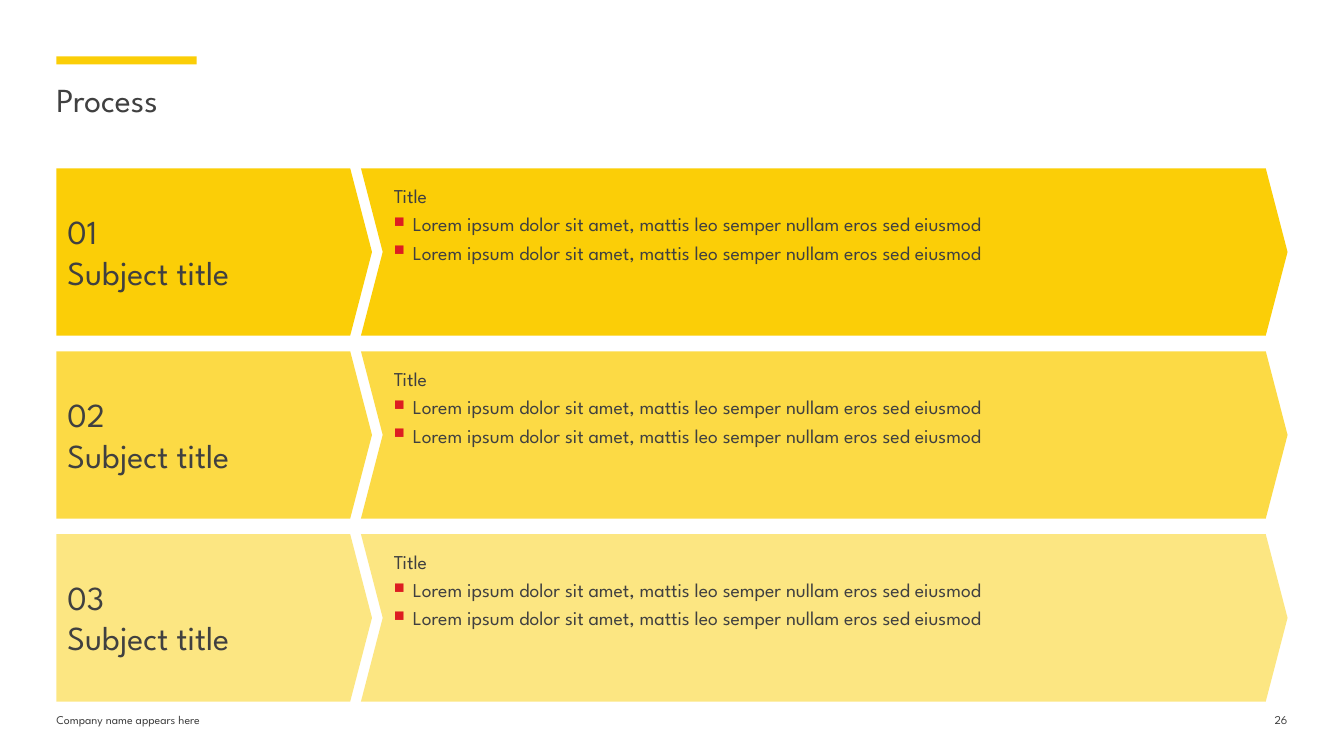
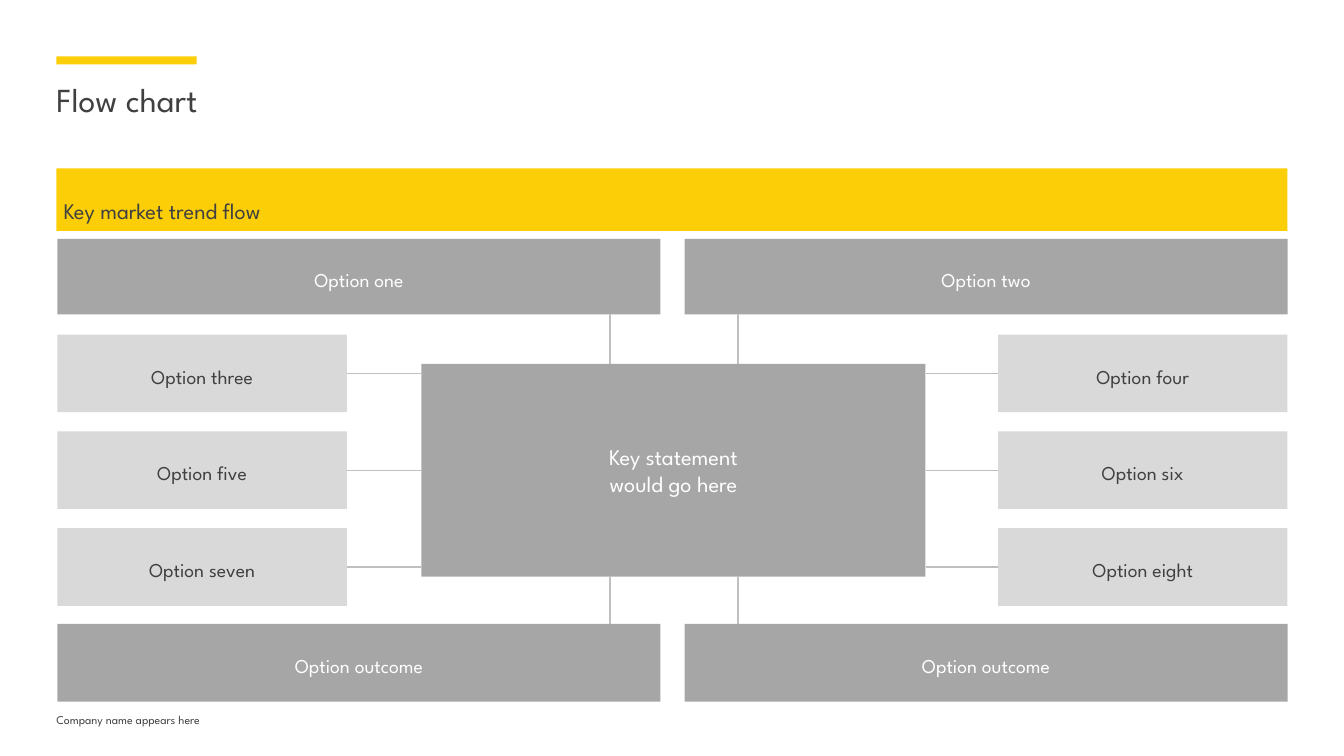
from lxml import etree
from pptx import Presentation
from pptx.dml.color import RGBColor
from pptx.enum.shapes import MSO_CONNECTOR, MSO_SHAPE as SHAPE
from pptx.enum.text import MSO_ANCHOR as ANCHOR, PP_ALIGN as ALIGN
from pptx.oxml.ns import qn
from pptx.util import Inches, Pt

COLORS = {
    "yellow": "FBCE07", "red": "DD1D21", "ink": "404040", "white": "FFFFFF",
    "mid_grey": "A6A6A6", "light_grey": "D9D9D9", "line": "BFBFBF",
}
FONT = "League Spartan"
LEFT, WIDTH = 0.56, 12.21
BODY_TOP, BODY_HEIGHT = 1.67, 5.29
BODY = (LEFT, BODY_TOP, WIDTH, BODY_HEIGHT)
FOOTER_TOP, FOOTER_HEIGHT = 7.07, 0.26
LOREM = "Lorem ipsum dolor sit amet, mattis leo semper nullam eros sed eiusmod"


def rgb(name):
    return RGBColor.from_string(COLORS[name])


def set_frame(shape, insets, anchor=ANCHOR.TOP, wrap=True):
    frame = shape.text_frame
    frame.word_wrap = wrap
    frame.vertical_anchor = anchor
    (frame.margin_left, frame.margin_top,
     frame.margin_right, frame.margin_bottom) = map(Inches, insets)
    return frame


def write(paragraph, text, size, color="ink", align=ALIGN.LEFT, spacing=None):
    """Fill a paragraph; a newline in the text becomes a line break."""
    paragraph.alignment = align
    if spacing:
        paragraph.line_spacing = spacing
    for index, line in enumerate(text.split("\n")):
        if index:
            paragraph.add_line_break()
        run = paragraph.add_run()
        run.text = line
        run.font.name = FONT
        run.font.size = Pt(size)
        run.font.color.rgb = rgb(color)


def add_bullet(paragraph):
    props = paragraph._p.get_or_add_pPr()
    props.set("marL", str(Inches(0.19)))
    props.set("indent", str(Inches(-0.19)))
    bullet_color = etree.SubElement(props, qn("a:buClr"))
    etree.SubElement(bullet_color, qn("a:srgbClr"), val=COLORS["red"])
    etree.SubElement(props, qn("a:buSzPct"), val="75000")
    etree.SubElement(props, qn("a:buChar"), char="■")


def add_block(slide, kind, box, fill, opacity=100):
    block = slide.shapes.add_shape(kind, *map(Inches, box))
    block.shadow.inherit = False
    block.line.fill.background()
    block.fill.solid()
    block.fill.fore_color.rgb = rgb(fill)
    if opacity < 100:
        color = block._element.spPr.find(qn("a:solidFill")).find(qn("a:srgbClr"))
        etree.SubElement(color, qn("a:alpha"), val=str(opacity * 1000))
    return block


def add_label(slide, box, text, size, insets, wrap=True, align=ALIGN.LEFT):
    label = slide.shapes.add_textbox(*map(Inches, box))
    frame = set_frame(label, insets, wrap=wrap)
    write(frame.paragraphs[0], text, size, align=align)


def add_line(slide, start, end):
    line = slide.shapes.add_connector(MSO_CONNECTOR.STRAIGHT, *start, *end)
    line.line.color.rgb = rgb("line")
    line.line.width = Pt(1)
    etree.SubElement(line._element.spPr, qn("a:effectLst"))
    return line


def add_base_slide(prs, title, page=None):
    slide = prs.slides.add_slide(prs.slide_layouts[6])
    add_block(slide, SHAPE.RECTANGLE, (LEFT, 0.56, 1.39, 0.08), "yellow")
    add_label(slide, (LEFT, 0.78, WIDTH, 0.82), title, 24, (0, 0, 0, 0))
    footer_insets = (0, 0, 0, 0.05)
    add_label(slide, (LEFT, FOOTER_TOP, 3.67, FOOTER_HEIGHT),
              "Company name appears here", 8.5, footer_insets, wrap=False)
    if page:
        page_width = 0.39
        add_label(slide, (LEFT + WIDTH - page_width, FOOTER_TOP, page_width, FOOTER_HEIGHT),
                  page, 8.5, footer_insets, wrap=False, align=ALIGN.RIGHT)
    return slide


def add_process_row(slide, box, subject, heading, bullets, opacity):
    left, top, width, height = box
    subject_width, detail_offset = 3.13, 3.02

    pentagon = add_block(slide, SHAPE.PENTAGON, (left, top, subject_width, height),
                         "yellow", opacity)
    pentagon.adjustments[0] = 0.13
    frame = set_frame(pentagon, (0.11, 0, 0, 0.01), ANCHOR.MIDDLE, wrap=False)
    write(frame.paragraphs[0], subject, 24)

    detail_box = (left + detail_offset, top, width - detail_offset, height)
    chevron = add_block(slide, SHAPE.CHEVRON, detail_box, "yellow", opacity)
    chevron.adjustments[0] = 0.13
    frame = set_frame(chevron, (0.11, 0.11, 0, 0.01))
    write(frame.paragraphs[0], heading, 14, spacing=1.2)
    for bullet in bullets:
        paragraph = frame.add_paragraph()
        add_bullet(paragraph)
        write(paragraph, bullet, 14, spacing=1.2)


def add_process(slide, box, rows):
    left, top, width, height = box
    row_height = 1.66
    pitch = (height - row_height) / (len(rows) - 1)
    for index, (subject, opacity) in enumerate(rows):
        add_process_row(slide, (left, top + index * pitch, width, row_height),
                        subject, "Title", [LOREM, LOREM], opacity)


def add_option(slide, box, text, fill, color, size=14, spacing=Pt(21)):
    option = add_block(slide, SHAPE.RECTANGLE, box, fill)
    frame = set_frame(option, (0.1, 0.05, 0.1, 0.05), ANCHOR.MIDDLE, wrap=False)
    write(frame.paragraphs[0], text, size, color, ALIGN.CENTER, spacing)
    return option


def add_flow_chart(slide, box, heading, statement, top_options, side_options, outcomes):
    left, top, width, height = box
    right, bottom = left + width, top + height

    banner = add_block(slide, SHAPE.RECTANGLE, (left, top, width, 0.62), "yellow")
    frame = set_frame(banner, (0.07,) * 4, ANCHOR.BOTTOM)
    write(frame.paragraphs[0], heading, 16)

    wide, narrow, option_height = 5.98, 2.87, 0.77
    inner_left = left + 0.01
    wide_lefts = (inner_left, right - wide)
    options_top, options_height = top + 0.7, 0.75
    outcomes_top = bottom - option_height
    for x, option, outcome in zip(wide_lefts, top_options, outcomes):
        add_option(slide, (x, options_top, wide, options_height),
                   option, "mid_grey", "white")
        add_option(slide, (x, outcomes_top, wide, option_height),
                   outcome, "mid_grey", "white")

    core_left, core_top, core_width, core_height = left + 3.62, top + 1.94, 5, 2.11
    core_right, core_bottom = core_left + core_width, core_top + core_height
    core = add_option(slide, (core_left, core_top, core_width, core_height),
                      statement, "mid_grey", "white", size=16, spacing=None)

    for x in (left + 5.49, left + 6.76):
        for start, end in ((options_top + options_height, core_top),
                           (core_bottom, outcomes_top)):
            add_line(slide, (Inches(x), Inches(start)), (Inches(x), Inches(end)))

    # Each side: option left edge, core edge, connection sites on option and core
    sides = ((inner_left, core_left, 3, 1), (right - narrow, core_right, 1, 3))
    middle_row = len(side_options) // 2
    for row, pair in enumerate(side_options):
        y = top + 1.65 + row * 0.96
        for text, (x, core_edge, option_site, core_site) in zip(pair, sides):
            option = add_option(slide, (x, y, narrow, option_height),
                                text, "light_grey", "ink")
            end = (Inches(core_edge), option.top + option.height // 2)
            line = add_line(slide, end, end)
            line.begin_connect(option, option_site)
            if row == middle_row:
                line.end_connect(core, core_site)


def main():
    prs = Presentation()
    prs.slide_width, prs.slide_height = Inches(13.33), Inches(7.5)

    process = add_base_slide(prs, "Process", page="26")
    add_process(process, BODY, [
        ("01\nSubject title", 100),
        ("02\nSubject title", 75),
        ("03\nSubject title", 50),
    ])

    flow = add_base_slide(prs, "Flow chart")
    add_flow_chart(
        flow, BODY,
        heading="Key market trend flow",
        statement="Key statement\nwould go here",
        top_options=("Option one", "Option two"),
        side_options=[
            ("Option three", "Option four"),
            ("Option five", "Option six"),
            ("Option seven", "Option eight"),
        ],
        outcomes=("Option outcome", "Option outcome"),
    )
    prs.save("out.pptx")


if __name__ == "__main__":
    main()
